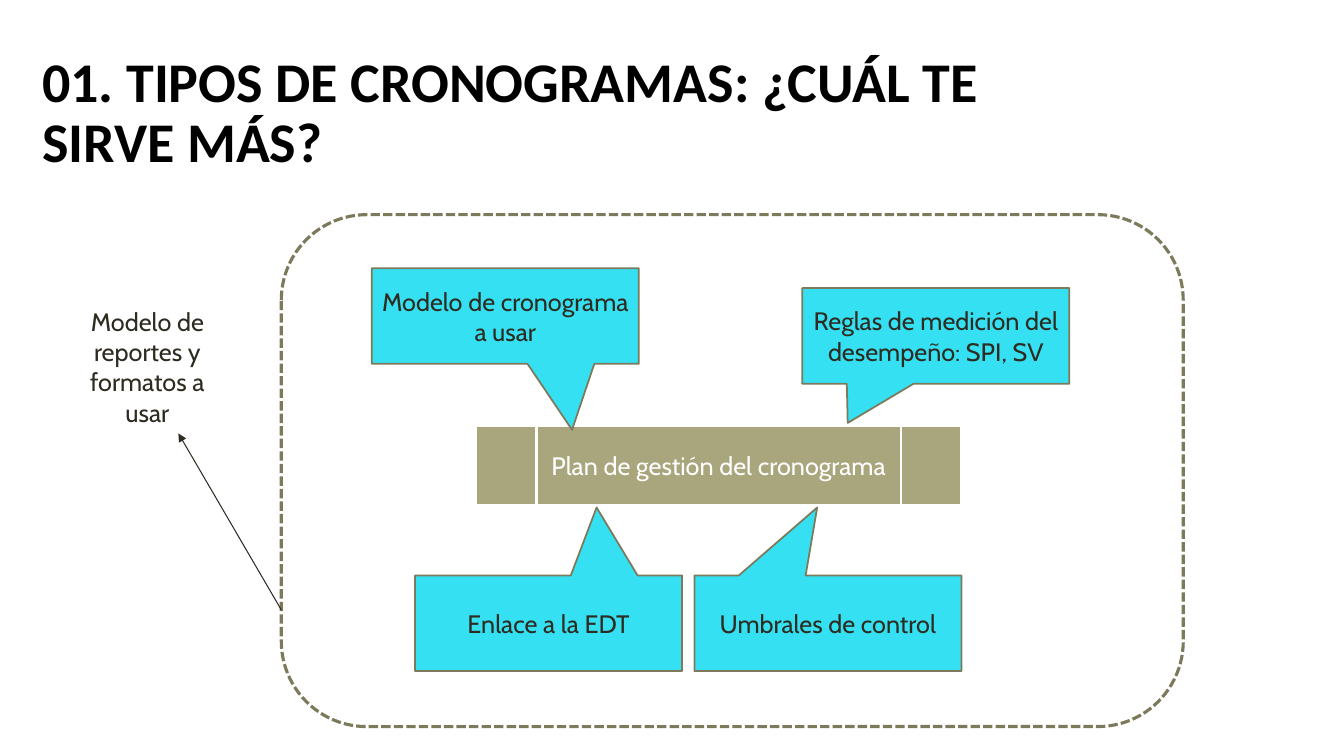
from lxml.etree import SubElement
from pptx import Presentation
from pptx.dml.color import RGBColor
from pptx.enum.dml import MSO_LINE
from pptx.enum.shapes import MSO_CONNECTOR, MSO_SHAPE
from pptx.enum.text import MSO_ANCHOR, PP_ALIGN
from pptx.oxml.ns import qn
from pptx.util import Cm, Pt

INK, OLIVE, KHAKI, CYAN, WHITE = "2E2B21", "7D7A5C", "A9A57C", "34E0F2", "FFFFFF"
CALLOUT_SIZE = (6.73, 2.41)
# Wording, offset from the frame corner, pointer tip relative to the callout
CALLOUTS = [
    ("Modelo de cronograma a usar", (2.28, 1.35), (0.25, 1.19)),
    ("Enlace a la EDT", (3.37, 9.09), (0.18, -1.21)),
    ("Umbrales de control", (10.41, 9.09), (-0.04, -1.21)),
    ("Reglas de medición del desempeño: SPI, SV", (13.13, 1.85), (-0.33, 0.91)),
]


def color(hex_value):
    return RGBColor.from_string(hex_value)


def write(shape, wording, ink=INK, size=18, font="Cabin", bold=False,
          align=PP_ALIGN.CENTER, anchor=MSO_ANCHOR.MIDDLE):
    frame = shape.text_frame
    frame.text = wording
    frame.word_wrap = True
    frame.vertical_anchor = anchor
    for paragraph in frame.paragraphs:
        paragraph.alignment = align
        for run in paragraph.runs:
            run.font.name = font
            run.font.size = Pt(size)
            run.font.bold = bold
            run.font.color.rgb = color(ink)


def add_box(slide, preset, box, fill, line, width):
    shape = slide.shapes.add_shape(preset, *map(Cm, box))
    shape.shadow.inherit = False
    if fill:
        shape.fill.solid()
        shape.fill.fore_color.rgb = color(fill)
    else:
        shape.fill.background()
    shape.line.color.rgb = color(line)
    shape.line.width = Pt(width)
    return shape


def add_title(slide, box):
    title = slide.shapes.add_textbox(*map(Cm, box))
    write(title, "01. TIPOS DE CRONOGRAMAS: ¿CUÁL TE SIRVE MÁS?", "000000", 40,
          "Calibri", True, PP_ALIGN.LEFT)
    title.text_frame.paragraphs[0].line_spacing = 0.9


def add_schedule_plan(slide, box):
    """Dashed frame with the plan in its middle and the callouts around it."""
    left, top, _, _ = box
    plan = add_box(slide, MSO_SHAPE.FLOWCHART_PREDEFINED_PROCESS,
                   (left + 4.9, top + 5.33, 12.24, 1.98), KHAKI, WHITE, 1.5)
    write(plan, "Plan de gestión del cronograma", WHITE)
    for wording, (dx, dy), tip in CALLOUTS:
        callout = add_box(slide, MSO_SHAPE.RECTANGULAR_CALLOUT,
                          (left + dx, top + dy, *CALLOUT_SIZE), CYAN, OLIVE, 1.25)
        callout.adjustments[0], callout.adjustments[1] = tip
        write(callout, wording)
    frame = add_box(slide, MSO_SHAPE.ROUNDED_RECTANGLE, box, None, OLIVE, 2.25)
    frame.line.dash_style = MSO_LINE.SQUARE_DOT


def add_reports(slide, box, arrow_start):
    """Label outside the frame, with an arrow that ends at its lower edge."""
    left, top, width, height = box
    reports = slide.shapes.add_textbox(*map(Cm, box))
    write(reports, "Modelo de\nreportes y\nformatos a\nusar", anchor=MSO_ANCHOR.TOP)
    arrow_end = (left + width / 2 + 0.78, top + height)
    arrow = slide.shapes.add_connector(MSO_CONNECTOR.STRAIGHT,
                                       *map(Cm, arrow_start + arrow_end))
    arrow.line.color.rgb = color(INK)
    arrow.line.width = Pt(0.75)
    properties = arrow._element.spPr
    SubElement(properties.find(qn("a:ln")), qn("a:tailEnd"), type="triangle")
    SubElement(properties, qn("a:effectLst"))


def main():
    presentation = Presentation()
    presentation.slide_width, presentation.slide_height = Cm(33.87), Cm(19.05)
    slide = presentation.slides.add_slide(presentation.slide_layouts[6])
    frame_box = (7.09, 5.41, 22.73, 12.9)
    add_schedule_plan(slide, frame_box)
    add_reports(slide, (1.63, 7.59, 4.17, 3.33), (frame_box[0], frame_box[1] + 9.96))
    add_title(slide, (0.81, 1.04, 25.22, 3.68))
    presentation.save("out.pptx")


if __name__ == "__main__":
    main()
